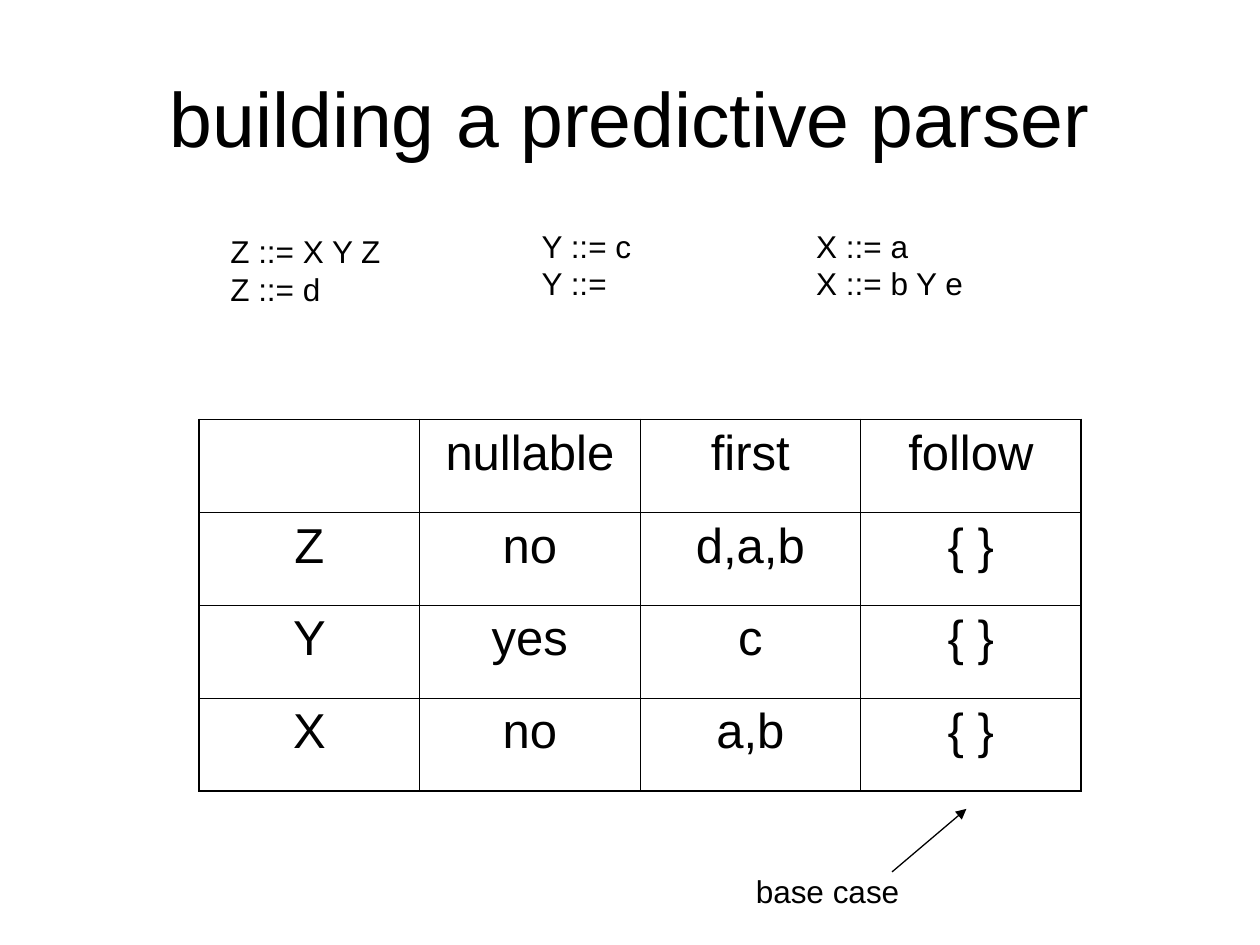
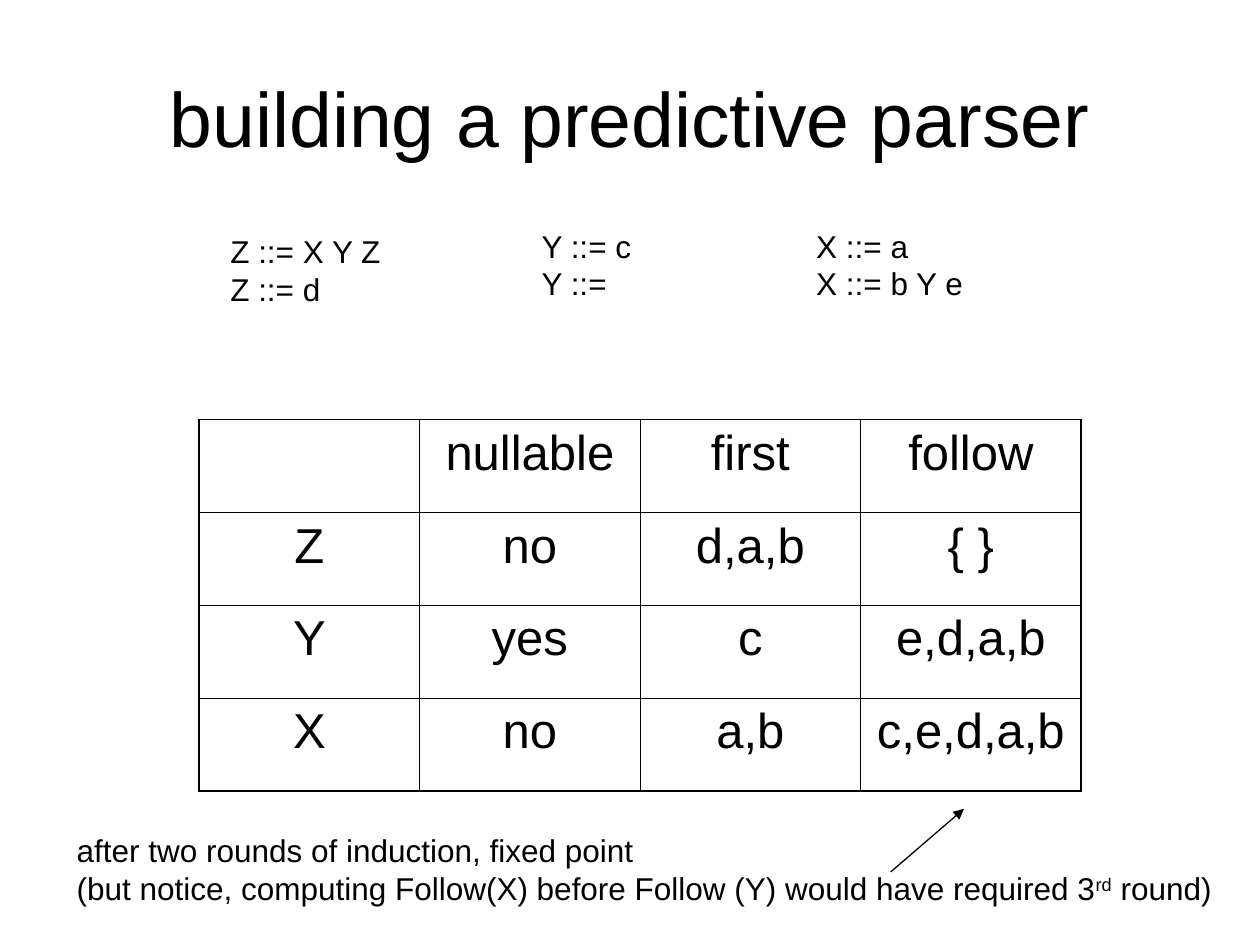
import pptx
import pptx.util
import pptx.dml.color
import pptx.enum.shapes
import pptx.enum.text
import pptx.oxml
import pptx.oxml.ns
from lxml import etree

Inches = pptx.util.Inches
Pt = pptx.util.Pt
BLACK = pptx.dml.color.RGBColor(0, 0, 0)
FONT = "Arial"
CENTER = pptx.enum.text.PP_ALIGN.CENTER
MIDDLE = pptx.enum.text.MSO_ANCHOR.MIDDLE
THIN, THICK = Pt(0.45), Pt(1.08)

TITLE = "building a predictive parser"
RULES = [
    (1.73, 1.79, 1.4, ["Z ::= X Y Z", "Z ::= d"]),
    (4.2, 1.75, 0.91, ["Y ::= c", "Y ::="]),
    (6.38, 1.75, 1.37, ["X ::= a", "X ::= b Y e"]),
]
HEAD = ["", "nullable", "first", "follow"]
ROWS = [["Z", "no", "d,a,b"], ["Y", "yes", "c"], ["X", "no", "a,b"]]


def add_run(para, text, size, raised=False):
    run = para.add_run()
    run.text = text
    run.font.name = FONT
    run.font.size = Pt(size)
    run.font.color.rgb = BLACK
    if raised:
        run._r.get_or_add_rPr().set("baseline", "30000")


def add_title(slide):
    title = slide.shapes.title
    title.left, title.top = Inches(0.5), Inches(0.3)
    title.width, title.height = Inches(9), Inches(1.25)
    frame = title.text_frame
    frame.vertical_anchor = MIDDLE
    para = frame.paragraphs[0]
    para.alignment = CENTER
    add_run(para, TITLE, 44)


def add_text(slide, left, top, width, lines):
    """Add a text box; a line is a string or a list of (text, raised) runs."""
    height = 0.1 + 0.3 * len(lines)
    box = slide.shapes.add_textbox(
        Inches(left), Inches(top), Inches(width), Inches(height))
    frame = box.text_frame
    frame.word_wrap = False
    frame.auto_size = pptx.enum.text.MSO_AUTO_SIZE.SHAPE_TO_FIT_TEXT
    for i, line in enumerate(lines):
        para = frame.add_paragraph() if i else frame.paragraphs[0]
        runs = [(line, False)] if isinstance(line, str) else line
        for text, raised in runs:
            add_run(para, text, 18, raised)


def set_edge(cell, side, width):
    props = cell._tc.get_or_add_tcPr()
    edge = etree.SubElement(
        props, pptx.oxml.ns.qn("a:ln" + side), w=str(int(width)))
    fill = etree.SubElement(edge, pptx.oxml.ns.qn("a:solidFill"))
    etree.SubElement(fill, pptx.oxml.ns.qn("a:srgbClr"), val=str(BLACK))


def add_grid(slide, follow):
    """Add the table of sets, with the given last column."""
    data = [HEAD] + [row + [end] for row, end in zip(ROWS, follow)]
    last_row, last_col = len(data) - 1, len(HEAD) - 1
    table = slide.shapes.add_table(
        len(data), len(HEAD), Inches(1.58), Inches(3.33),
        Inches(7), Inches(2.95)).table
    table.first_row = table.horz_banding = False
    for r, row in enumerate(data):
        for c, text in enumerate(row):
            cell = table.cell(r, c)
            outer = {"L": c == 0, "R": c == last_col,
                     "T": r == 0, "B": r == last_row}
            for side, thick in outer.items():
                set_edge(cell, side, THICK if thick else THIN)
            cell.fill.background()
            para = cell.text_frame.paragraphs[0]
            para.alignment = CENTER
            if text:
                add_run(para, text, 28)


def add_arrow(slide, start, end):
    line = slide.shapes.add_connector(
        pptx.enum.shapes.MSO_CONNECTOR.STRAIGHT,
        *(Inches(n) for n in start + end))
    line.line.color.rgb = BLACK
    line.line.width = Pt(0.75)
    etree.SubElement(line.line._get_or_add_ln(),
                     pptx.oxml.ns.qn("a:tailEnd"), type="triangle")
    etree.SubElement(line._element.spPr, pptx.oxml.ns.qn("a:effectLst"))


def add_slide(deck, follow):
    """Add a slide with the title, grammar and table."""
    slide = deck.slides.add_slide(deck.slide_layouts[5])
    add_title(slide)
    for rule in RULES:
        add_text(slide, *rule)
    add_grid(slide, follow)
    return slide


def main():
    deck = pptx.Presentation()
    deck.slide_width, deck.slide_height = Inches(10), Inches(7.5)

    base = add_slide(deck, ["{ }", "{ }", "{ }"])
    add_text(base, 5.9, 6.87, 1.34, ["base case"])
    add_arrow(base, (7.08, 6.92), (7.67, 6.42))

    fixed = add_slide(deck, ["{ }", "e,d,a,b", "c,e,d,a,b"])
    add_arrow(fixed, (7.07, 6.92), (7.65, 6.42))
    add_text(fixed, 0.51, 6.55, 9.21, [
        "after two rounds of induction, fixed point",
        [("(but notice, computing Follow(X) before Follow (Y) "
          "would have required 3", False),
         ("rd", True), (" round)", False)],
    ])

    deck.save("out.pptx")


if __name__ == "__main__":
    main()
